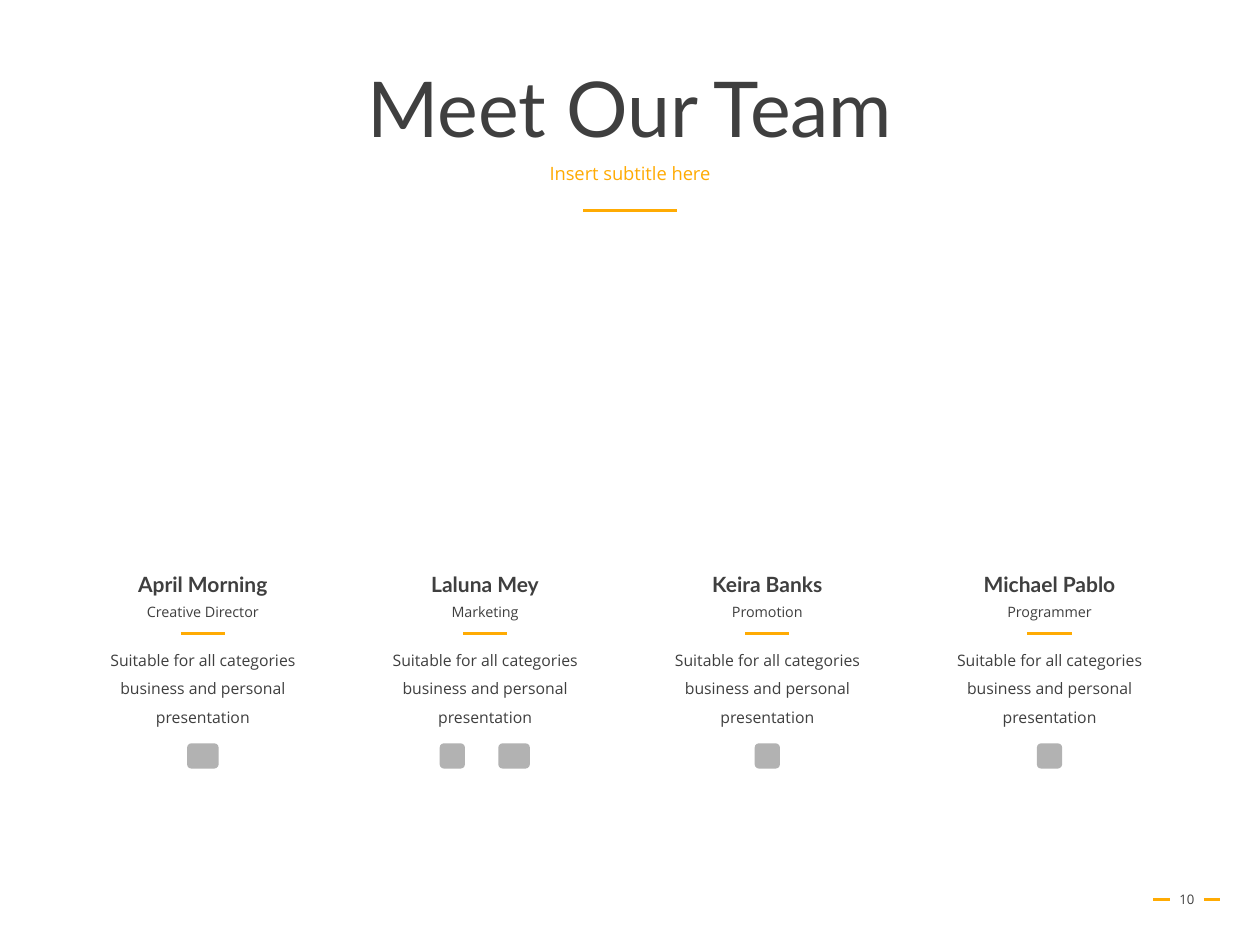
from dataclasses import dataclass

from lxml.etree import SubElement
from pptx import Presentation
from pptx.dml.color import RGBColor
from pptx.enum.shapes import MSO_CONNECTOR, MSO_SHAPE
from pptx.enum.text import MSO_ANCHOR, MSO_AUTO_SIZE, PP_ALIGN
from pptx.oxml.ns import qn
from pptx.util import Inches, Pt


@dataclass(frozen=True)
class Theme:
    """Colours, fonts and type sizes of the slide."""
    ink: RGBColor = RGBColor(0x3F, 0x3F, 0x3F)
    accent: RGBColor = RGBColor(0xFF, 0xAB, 0x03)
    icon: RGBColor = RGBColor(0xB2, 0xB2, 0xB2)
    heading_font: str = "Lato"
    body_font: str = "Open Sans"
    title_size: float = 44
    subtitle_size: float = 10.5
    name_size: float = 12
    text_size: float = 9
    role_size: float = 8.2
    number_size: float = 7.5
    rule_width: float = 1.75


theme = Theme()
deck = Presentation()
deck.slide_width, deck.slide_height = Inches(10), Inches(7.5)
page = deck.slides.add_slide(deck.slide_layouts[1])


def write(text, center, top, width, height, box=None, size=theme.text_size,
          font=theme.body_font, color=theme.ink, bold=False, spacing=1.0,
          before=0, anchor=MSO_ANCHOR.TOP, fit=MSO_AUTO_SIZE.NONE):
    """Write centred text in a placeholder or in a new text box."""
    place = [Inches(value) for value in (center - width / 2, top, width, height)]
    if box is None:
        box = page.shapes.add_textbox(*place)
    else:
        box.left, box.top, box.width, box.height = place
    frame = box.text_frame
    frame.word_wrap, frame.auto_size, frame.vertical_anchor = True, fit, anchor
    para = frame.paragraphs[0]
    para.alignment, para.line_spacing = PP_ALIGN.CENTER, spacing
    para.space_before = Pt(before)
    span = para.add_run()
    span.text = text
    span.font.name, span.font.size, span.font.bold = font, Pt(size), bold
    span.font.color.rgb = color
    return para


def draw_rule(center, top, width):
    """Draw a horizontal accent rule around a centre."""
    rule = page.shapes.add_connector(
        MSO_CONNECTOR.STRAIGHT, Inches(center - width / 2), Inches(top),
        Inches(center + width / 2), Inches(top))
    rule.line.color.rgb, rule.line.width = theme.accent, Pt(theme.rule_width)
    SubElement(rule._element.spPr, qn("a:effectLst"))


# Heading
middle = deck.slide_width.inches / 2
title, subtitle = page.placeholders
write("Meet Our Team", middle, 0.4, 8.62, 0.98, box=title, size=theme.title_size,
      font=theme.heading_font, spacing=0.9, anchor=MSO_ANCHOR.MIDDLE)
subtitle_para = write("Insert subtitle here", middle, 1.26, 8.62, 0.4, box=subtitle,
                      size=theme.subtitle_size, color=theme.accent,
                      spacing=0.9, before=10)
properties = subtitle_para._p.get_or_add_pPr()
properties.set("marL", "0")
properties.set("indent", "0")
SubElement(properties, qn("a:buNone"))
draw_rule(middle, 1.67, 0.74)

# Team columns: each icon is an offset from the column centre and a width
first_center, column_pitch = 1.61, 2.24
icon_top, icon_height = 5.9, 0.2
description = "Suitable for all categories business and personal presentation"
team = [
    ("April Morning", "Creative Director", [(0, 0.25)]),
    ("Laluna Mey", "Marketing", [(-0.26, 0.2), (0.23, 0.25)]),
    ("Keira Banks", "Promotion", [(0, 0.2)]),
    ("Michael Pablo", "Programmer", [(0, 0.2)]),
]
grow = MSO_AUTO_SIZE.SHAPE_TO_FIT_TEXT
for column, (name, role, icons) in enumerate(team):
    center = first_center + column * column_pitch
    write(name, center, 4.49, 1.71, 0.3, size=theme.name_size,
          font=theme.heading_font, bold=True, fit=grow)
    write(role, center, 4.74, 1.71, 0.24, size=theme.role_size, fit=grow)
    draw_rule(center, 5.03, 0.35)
    write(description, center, 5.04, 1.9, 0.78, spacing=1.5, fit=grow)
    for offset, width in icons:
        icon = page.shapes.add_shape(
            MSO_SHAPE.ROUNDED_RECTANGLE, Inches(center + offset - width / 2),
            Inches(icon_top), Inches(width), Inches(icon_height))
        icon.shadow.inherit = False
        icon.fill.solid()
        icon.fill.fore_color.rgb = theme.icon
        icon.line.fill.background()

# Page number between two short rules
number_center = 9.42
write("10", number_center, 6.94, 0.44, 0.4, size=theme.number_size,
      anchor=MSO_ANCHOR.MIDDLE)
for side in (-1, 1):
    draw_rule(number_center + side * 0.2, 7.14, 0.13)

deck.save("out.pptx")
